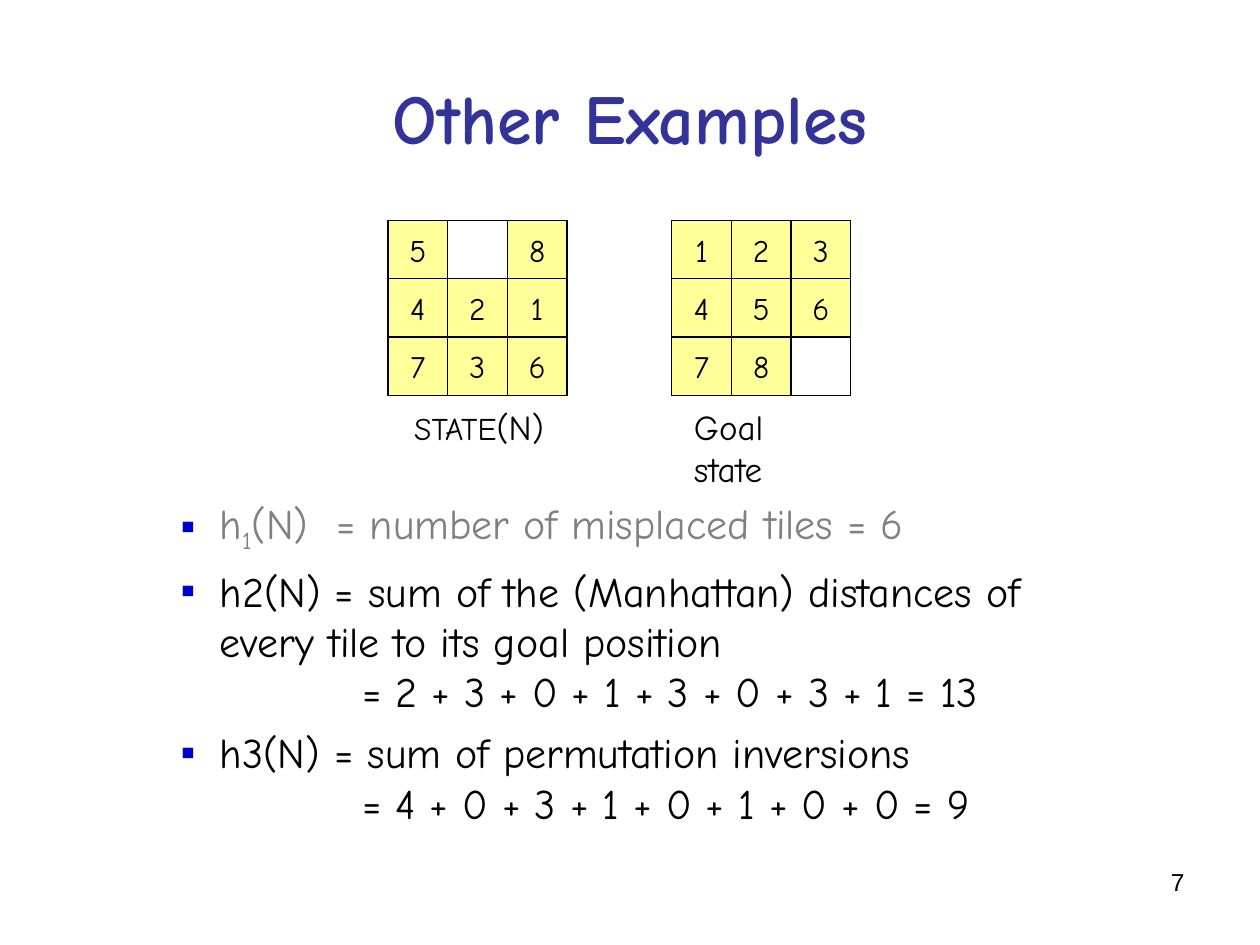
from dataclasses import dataclass

from lxml.etree import SubElement
from pptx import Presentation
from pptx.dml.color import RGBColor
from pptx.enum.shapes import MSO_SHAPE
from pptx.enum.text import MSO_ANCHOR, PP_ALIGN
from pptx.oxml.ns import qn
from pptx.util import Cm, Pt


@dataclass(frozen=True)
class Theme:
    font: str = "Comic Neue"
    number_font: str = "Arial"
    ink: str = "000000"
    muted: str = "808080"
    title: str = "333399"
    bullet: str = "0000CC"
    tile: str = "FFFF99"
    title_size: int = 40
    body_size: int = 24
    caption_size: int = 20
    tile_size: int = 18
    number_size: int = 14


THEME = Theme()
EQUATION_INDENT = 4.93
BULLET_INDENT, BULLET_HANG = 2.06, 0.79


def write(p, text, size=THEME.body_size, color=THEME.ink, font=THEME.font,
          bold=False, baseline=0):
    r = p.add_run()
    r.text = text
    r.font.size = Pt(size)
    r.font.name = font
    r.font.bold = bold
    r.font.color.rgb = RGBColor.from_string(color)
    if baseline:
        r.font._element.set("baseline", str(baseline * 1000))


def add_box(shapes, left, top, width, height, wrap=True, anchor=MSO_ANCHOR.TOP):
    tf = shapes.add_textbox(Cm(left), Cm(top), Cm(width), Cm(height)).text_frame
    tf.word_wrap = wrap
    tf.vertical_anchor = anchor
    return tf


def add_square(shapes, left, top, width, height, fill=None):
    sp = shapes.add_shape(MSO_SHAPE.RECTANGLE, Cm(left), Cm(top), Cm(width), Cm(height))
    sp.shadow.inherit = False
    if fill:
        sp.fill.solid()
        sp.fill.fore_color.rgb = RGBColor.from_string(fill)
    else:
        sp.fill.background()
    sp.line.color.rgb = RGBColor.from_string(THEME.ink)
    sp.line.width = Pt(0.75)
    return sp


def add_title(shapes, text, left, top, width, height):
    p = add_box(shapes, left, top, width, height, anchor=MSO_ANCHOR.MIDDLE).paragraphs[0]
    p.alignment = PP_ALIGN.CENTER
    write(p, text, size=THEME.title_size, color=THEME.title, bold=True)


def add_puzzle(shapes, rows, caption, caption_offset, left, top, width, height):
    """Draw a sliding-tile board, 0 being the gap, with its caption runs below."""
    group = shapes.add_group_shape().shapes
    add_square(group, left, top, width, height)
    cell_w, cell_h = width / len(rows[0]), height / len(rows)
    for i, row in enumerate(rows):
        for j, value in enumerate(row):
            if not value:
                continue
            sp = add_square(group, left + j * cell_w, top + i * cell_h,
                            cell_w, cell_h, THEME.tile)
            tf = sp.text_frame
            tf.word_wrap = False
            tf.vertical_anchor = MSO_ANCHOR.MIDDLE
            p = tf.paragraphs[0]
            p.alignment = PP_ALIGN.CENTER
            write(p, str(value), size=THEME.tile_size)
    tf = add_box(group, left + caption_offset, top + height + 0.08,
                 width - 0.2, 1.11, wrap=False)
    for text, size in caption:
        write(tf.paragraphs[0], text, size=size)


def set_indent(p, left, hang=0.0, bullet=None):
    pPr = p._p.get_or_add_pPr()
    pPr.set("marL", str(Cm(left)))
    pPr.set("indent", str(-Cm(hang)))
    if bullet:
        color = SubElement(pPr, qn("a:buClr"))
        SubElement(color, qn("a:srgbClr")).set("val", THEME.bullet)
        SubElement(pPr, qn("a:buFont")).set("typeface", THEME.number_font)
        SubElement(pPr, qn("a:buChar")).set("char", bullet)
    else:
        SubElement(pPr, qn("a:buNone"))


def add_heuristics(shapes, items, left, top, width, height):
    """List the heuristics; each item is (runs with their format, equation or None)."""
    tf = add_box(shapes, left, top, width, height)
    for i, (runs, equation) in enumerate(items):
        p = tf.add_paragraph() if i else tf.paragraphs[0]
        set_indent(p, BULLET_INDENT, BULLET_HANG, "▪")
        if i:
            p.space_before = Pt(6)
        for j, (text, style) in enumerate(runs):
            for k, line in enumerate(text.split("\n")):
                if k:
                    p.add_line_break()
                write(p, line, **style)
        if equation:
            p = tf.add_paragraph()
            set_indent(p, EQUATION_INDENT)
            write(p, equation)


def add_page_number(shapes, text, left, top, width, height):
    p = add_box(shapes, left, top, width, height).paragraphs[0]
    p.alignment = PP_ALIGN.RIGHT
    write(p, text, size=THEME.number_size, font=THEME.number_font)


def main():
    prs = Presentation()
    prs.slide_width, prs.slide_height = Cm(25.4), Cm(19.05)
    shapes = prs.slides.add_slide(prs.slide_layouts[6]).shapes

    add_title(shapes, "Other Examples", 1.27, 0.76, 22.86, 3.18)

    board = {"top": 4.44, "width": 3.61, "height": 3.53}
    add_puzzle(shapes, [(5, 0, 8), (4, 2, 1), (7, 3, 6)],
               [("STATE", THEME.tile_size), ("(N)", THEME.caption_size)],
               0.28, left=7.82, **board)
    add_puzzle(shapes, [(1, 2, 3), (4, 5, 6), (7, 8, 0)],
               [("Goal state", THEME.caption_size)],
               0.2, left=13.54, **board)

    muted = {"color": THEME.muted}
    add_heuristics(shapes, [
        ([("h", muted), ("1", {**muted, "baseline": -25}),
          ("(N)  = number of misplaced tiles = 6", muted)], None),
        ([("h2(N) = sum of the (Manhattan) distances of\n"
           "every tile to its goal position", {})],
         "= 2 + 3 + 0 + 1 + 3 + 0 + 3 + 1 = 13"),
        ([("h3(N) = sum of permutation inversions", {})],
         "= 4 + 0 + 3 + 1 + 0 + 1 + 0 + 0 = 9"),
    ], 2.12, 9.9, 21.59, 7.67)

    add_page_number(shapes, "7", 18.2, 17.36, 5.93, 1.32)
    prs.save("out.pptx")


if __name__ == "__main__":
    main()
